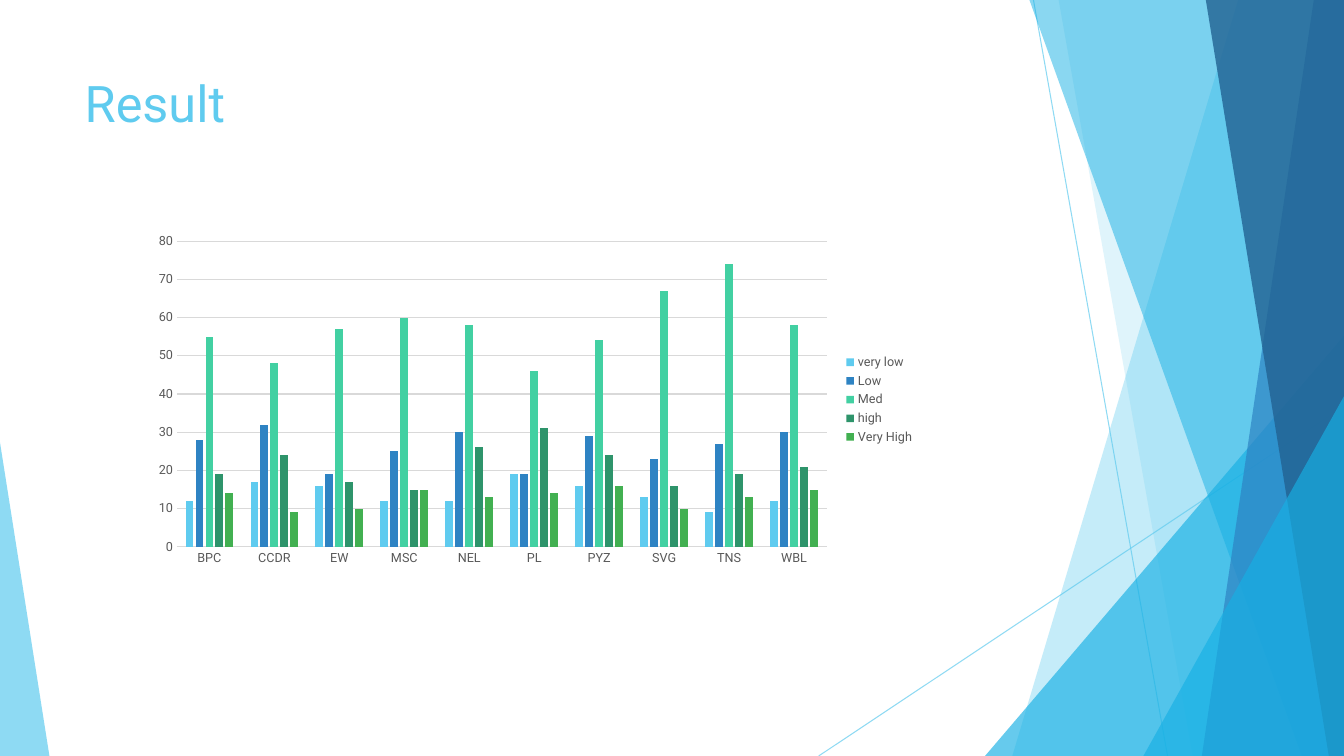
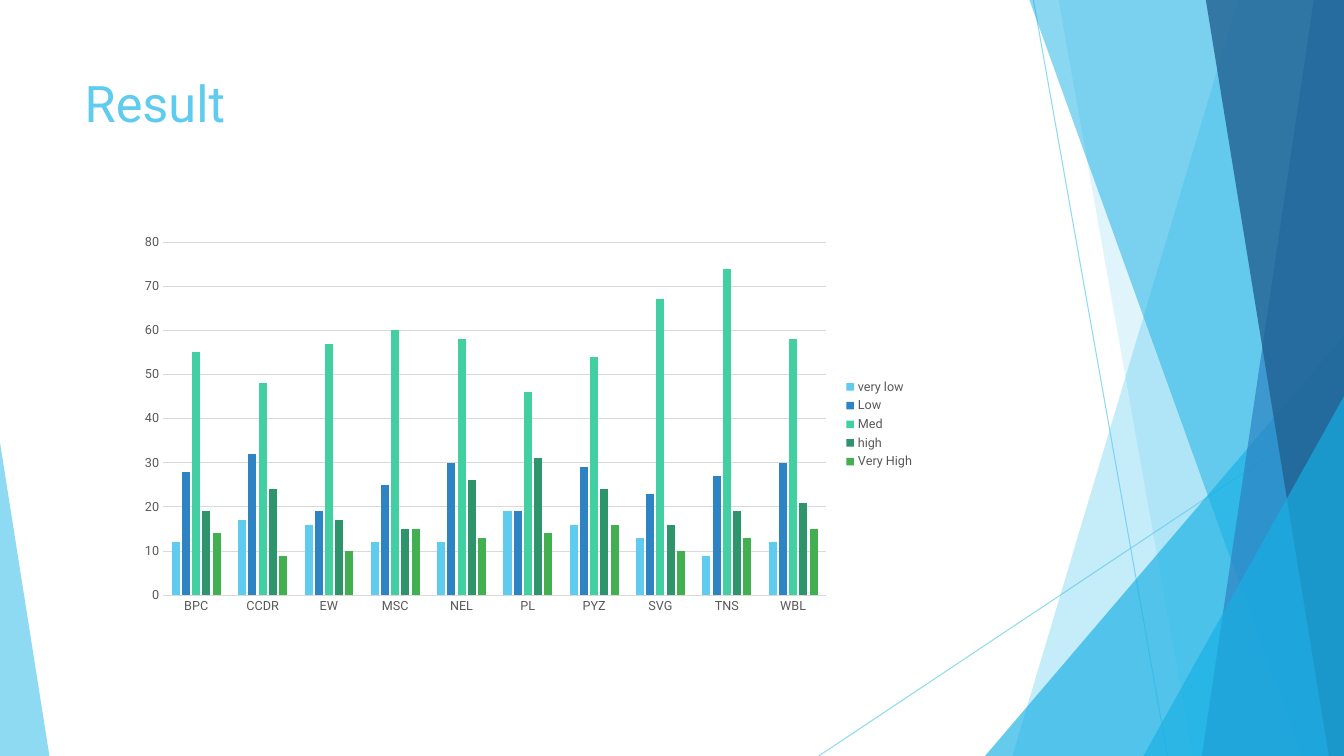
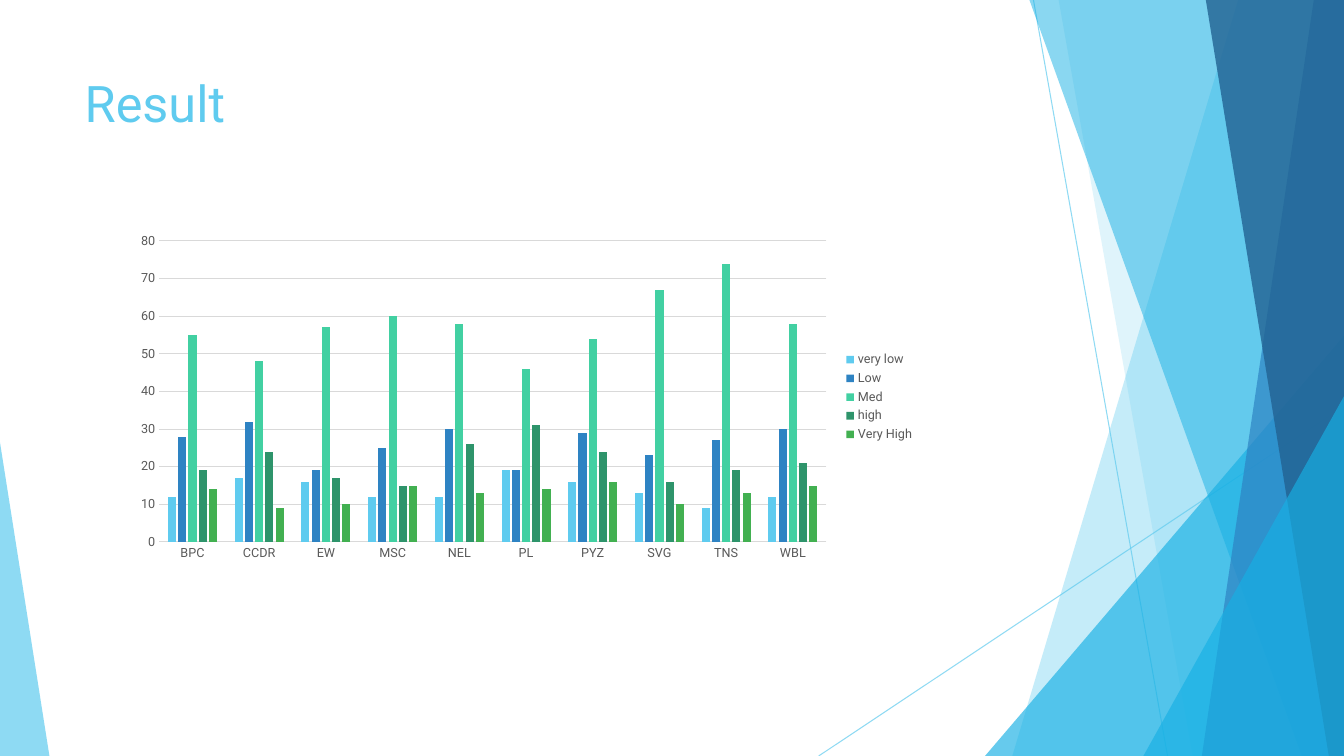
from dataclasses import dataclass

from lxml.etree import SubElement
from pptx import Presentation
from pptx.chart.axis import CategoryAxis, ValueAxis
from pptx.chart.data import CategoryChartData
from pptx.dml.color import RGBColor
from pptx.dml.line import LineFormat
from pptx.enum.chart import XL_CHART_TYPE as ChartType
from pptx.enum.chart import XL_LEGEND_POSITION as LegendPosition
from pptx.enum.chart import XL_TICK_MARK as TickMark
from pptx.enum.shapes import MSO_CONNECTOR as Connector
from pptx.enum.shapes import MSO_SHAPE as Preset
from pptx.enum.text import MSO_ANCHOR as Anchor
from pptx.enum.text import MSO_AUTO_SIZE as AutoSize
from pptx.enum.text import PP_ALIGN as Align
from pptx.oxml.ns import qn
from pptx.shapes.base import BaseShape
from pptx.slide import Slide, SlideLayout
from pptx.text.text import Font
from pptx.util import Inches, Pt


@dataclass(frozen=True)
class Theme:
    font: str = "Roboto"
    sky: str = "5FCBEF"
    cyan: str = "17B0E4"
    blue: str = "2E83C3"
    navy: str = "226292"
    mint: str = "42D0A2"
    teal: str = "2E946B"
    green: str = "42B051"
    label: str = "595959"
    rule: str = "D9D9D9"
    ink: str = "000000"
    title_size: int = 36
    chart_size: int = 10
    label_size: int = 9
    hairline: float = 0.75


@dataclass(frozen=True)
class Ray:
    start: tuple[float, float]
    end: tuple[float, float]


@dataclass(frozen=True)
class Band:
    top_x: float
    bottom_x: float
    color: str
    opacity: int


@dataclass(frozen=True)
class Wedge:
    left: float
    top: float
    width: float
    apex: float
    color: str
    opacity: int


@dataclass(frozen=True)
class Level:
    name: str
    color: str
    counts: tuple[int, ...]


@dataclass(frozen=True)
class ResultSlide:
    chart_left: float
    chart_height: float


THEME = Theme()
WIDTH, HEIGHT = 13.33, 7.5
RAY_OPACITY = 70
CHART_TOP, CHART_RIGHT = 2.25, 9.17

FACETS = (
    Ray((10.25, 0), (11.58, HEIGHT)),
    Ray((WIDTH, 4.03), (8.12, HEIGHT)),
    Band(12.28, 10.04, THEME.sky, 36),
    Band(10.5, 11.83, THEME.sky, 20),
    Wedge(9.77, 3.33, 3.56, 1, THEME.cyan, 66),
    Band(10.21, 12.91, THEME.cyan, 50),
    Band(13.03, 11.92, THEME.blue, 70),
    Band(11.96, 13.18, THEME.navy, 80),
    Wedge(11.34, 3.93, 1.99, 1, THEME.cyan, 66),
    Wedge(0, 4.39, 0.49, 0, THEME.sky, 70),
)

GROUPS = ("BPC", "CCDR", "EW", "MSC", "NEL", "PL", "PYZ", "SVG", "TNS", "WBL")
LEVELS = (
    Level("very low", THEME.sky, (12, 17, 16, 12, 12, 19, 16, 13, 9, 12)),
    Level("Low", THEME.blue, (28, 32, 19, 25, 30, 19, 29, 23, 27, 30)),
    Level("Med", THEME.mint, (55, 48, 57, 60, 58, 46, 54, 67, 74, 58)),
    Level("high", THEME.teal, (19, 24, 17, 15, 26, 31, 24, 16, 19, 21)),
    Level("Very High", THEME.green, (14, 9, 10, 15, 13, 14, 16, 10, 13, 15)),
)
RESULTS = (
    ResultSlide(1.42, 3.43),
    ResultSlide(1.28, 3.92),
    ResultSlide(1.24, 3.38),
)


def apply(target: object, values: dict[str, object]) -> None:
    for attribute, value in values.items():
        setattr(target, attribute, value)


def style_font(font: Font, size: int, color: str) -> None:
    apply(font, {"name": THEME.font, "size": Pt(size)})
    font.color.rgb = RGBColor.from_string(color)


def style_rule(line: LineFormat, color: str) -> None:
    line.color.rgb = RGBColor.from_string(color)
    line.width = Pt(THEME.hairline)


def set_opacity(shape: BaseShape, percent: int) -> None:
    for color in shape.element.iter(qn("a:srgbClr")):
        SubElement(color, qn("a:alpha"), val=str(percent * 1000))


def draw_ray(slide: Slide, ray: Ray) -> BaseShape:
    ends = [Inches(value) for value in (*ray.start, *ray.end)]
    line = slide.shapes.add_connector(Connector.STRAIGHT, *ends)
    style_rule(line.line, THEME.sky)
    set_opacity(line, RAY_OPACITY)
    SubElement(line.element.spPr, qn("a:effectLst"))
    return line


def draw_band(slide: Slide, band: Band) -> BaseShape:
    outline = slide.shapes.build_freeform(Inches(band.top_x), 0)
    corners = ((WIDTH, 0), (WIDTH, HEIGHT), (band.bottom_x, HEIGHT))
    outline.add_line_segments([(Inches(x), Inches(y)) for x, y in corners])
    return fill_facet(outline.convert_to_shape(), band)


def draw_wedge(slide: Slide, wedge: Wedge) -> BaseShape:
    box = (wedge.left, wedge.top, wedge.width, HEIGHT - wedge.top)
    triangle = slide.shapes.add_shape(
        Preset.ISOSCELES_TRIANGLE, *[Inches(value) for value in box]
    )
    triangle.adjustments[0] = wedge.apex
    return fill_facet(triangle, wedge)


def fill_facet(shape: BaseShape, facet: Band | Wedge) -> BaseShape:
    shape.shadow.inherit = False
    shape.fill.solid()
    shape.fill.fore_color.rgb = RGBColor.from_string(facet.color)
    shape.line.fill.background()
    set_opacity(shape, facet.opacity)
    return shape


def decorate_layout(layout: SlideLayout, slide: Slide) -> None:
    for placeholder in list(layout.placeholders)[1:]:
        layout.shapes.element.remove(placeholder.element)
    painters = {Ray: draw_ray, Band: draw_band, Wedge: draw_wedge}
    for facet in FACETS:
        shape = painters[type(facet)](slide, facet)
        layout.shapes.element.append(shape.element)


def write_title(slide: Slide, text: str) -> None:
    title = slide.shapes.title
    apply(title, {"left": Inches(0.74), "top": Inches(0.67),
                  "width": Inches(9.4), "height": Inches(1.44)})
    frame = title.text_frame
    frame.text = text
    apply(frame, {"vertical_anchor": Anchor.TOP, "word_wrap": True,
                  "auto_size": AutoSize.NONE})
    heading = frame.paragraphs[0]
    heading.alignment = Align.LEFT
    style_font(heading.runs[0].font, THEME.title_size, THEME.sky)


def style_axis(axis: CategoryAxis | ValueAxis) -> None:
    apply(axis, {"major_tick_mark": TickMark.NONE,
                 "minor_tick_mark": TickMark.NONE})
    style_font(axis.tick_labels.font, THEME.label_size, THEME.label)


def add_result_chart(slide: Slide, result: ResultSlide) -> None:
    data = CategoryChartData()
    data.categories = GROUPS
    for level in LEVELS:
        data.add_series(level.name, level.counts)
    box = (result.chart_left, CHART_TOP,
           CHART_RIGHT - result.chart_left, result.chart_height)
    chart = slide.shapes.add_chart(
        ChartType.COLUMN_CLUSTERED, *[Inches(value) for value in box], data
    ).chart
    apply(chart, {"has_title": False, "has_legend": True})
    style_font(chart.font, THEME.chart_size, THEME.ink)

    apply(chart.legend, {"position": LegendPosition.RIGHT,
                         "include_in_layout": False})
    style_font(chart.legend.font, THEME.label_size, THEME.label)

    groups, counts = chart.category_axis, chart.value_axis
    for axis in (groups, counts):
        style_axis(axis)
    style_rule(groups.format.line, THEME.rule)
    apply(counts, {"minimum_scale": 0, "maximum_scale": 80, "major_unit": 10,
                   "has_major_gridlines": True})
    counts.format.line.fill.background()
    style_rule(counts.major_gridlines.format.line, THEME.rule)

    columns = chart.plots[0]
    apply(columns, {"gap_width": 219, "overlap": -27,
                    "vary_by_categories": False})
    for series, level in zip(columns.series, LEVELS):
        series.format.fill.solid()
        series.format.fill.fore_color.rgb = RGBColor.from_string(level.color)


def main() -> None:
    deck = Presentation()
    apply(deck, {"slide_width": Inches(WIDTH), "slide_height": Inches(HEIGHT)})
    layout = deck.slide_layouts.get_by_name("Title Only")
    slides = [deck.slides.add_slide(layout) for _ in RESULTS]
    decorate_layout(layout, slides[0])
    for slide, result in zip(slides, RESULTS):
        write_title(slide, "Result")
        add_result_chart(slide, result)
    deck.save("out.pptx")


if __name__ == "__main__":
    main()
